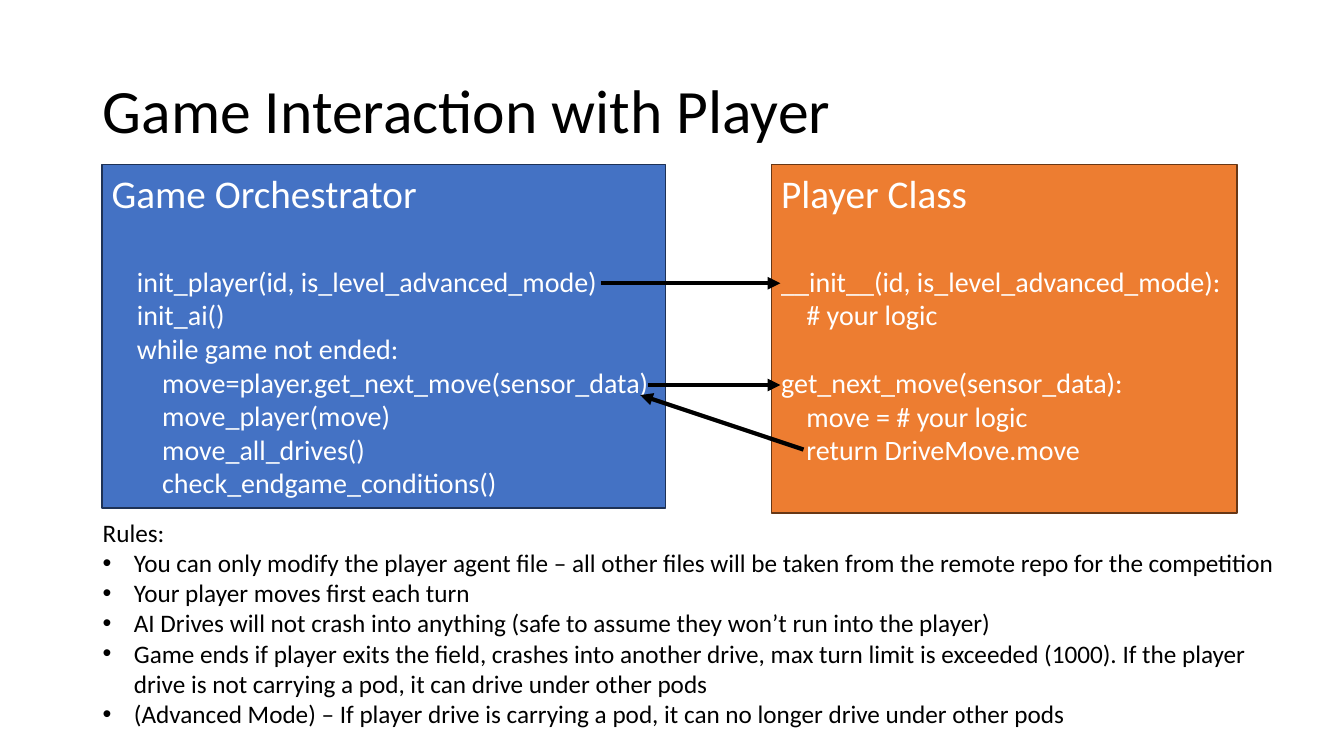
from lxml import etree
from pptx import Presentation
from pptx.dml.color import RGBColor
from pptx.enum.shapes import MSO_CONNECTOR, MSO_SHAPE
from pptx.enum.text import MSO_ANCHOR, MSO_AUTO_SIZE, PP_ALIGN
from pptx.oxml.ns import qn
from pptx.util import Inches, Pt

RECTANGLE = MSO_SHAPE.RECTANGLE
STRAIGHT = MSO_CONNECTOR.STRAIGHT
LEFT = PP_ALIGN.LEFT
TOP, MIDDLE = MSO_ANCHOR.TOP, MSO_ANCHOR.MIDDLE
NO_AUTOFIT, GROW = MSO_AUTO_SIZE.NONE, MSO_AUTO_SIZE.SHAPE_TO_FIT_TEXT

BLACK = RGBColor(0x00, 0x00, 0x00)
WHITE = RGBColor(0xFF, 0xFF, 0xFF)
BLUE = RGBColor(0x44, 0x72, 0xC4)
DARK_BLUE = RGBColor(0x1E, 0x32, 0x56)
ORANGE = RGBColor(0xED, 0x7D, 0x31)
DARK_ORANGE = RGBColor(0x68, 0x37, 0x15)

FONT = "Calibri"
CODE_INDENT = 0.25
HEADING_GAP = 34.2
CODE_GAP = 24.4
BULLET_INDENT = 0.31

# Each code line: indent level, text, space before in points
ORCHESTRATOR_CODE = [
    (1, "init_player(id, is_level_advanced_mode)", HEADING_GAP),
    (1, "init_ai()", 0),
    (1, "while game not ended:", 0),
    (2, "move=player.get_next_move(sensor_data)", 0),
    (2, "move_player(move)", 0),
    (2, "move_all_drives()", 0),
    (2, "check_endgame_conditions()", 0),
]
PLAYER_CODE = [
    (0, "__init__(id, is_level_advanced_mode):", HEADING_GAP),
    (1, "# your logic", 0),
    (0, "get_next_move(sensor_data):", CODE_GAP),
    (1, "move = # your logic", 0),
    (1, "return DriveMove.move", 0),
]
RULES = [
    "You can only modify the player agent file – all other files will be taken "
    "from the remote repo for the competition",
    "Your player moves first each turn",
    "AI Drives will not crash into anything (safe to assume they won’t run into the player)",
    "Game ends if player exits the field, crashes into another drive, max turn limit is "
    "exceeded (1000). If the player drive is not carrying a pod, it can drive under other pods",
    "(Advanced Mode) – If player drive is carrying a pod, it can no longer drive under other pods",
]
CALLS = [
    ((5.96, 2.81), (7.74, 2.81)),
    ((7.97, 4.46), (6.35, 3.92)),
    ((6.43, 3.82), (7.74, 3.82)),
]


def write(paragraph, text, size, color):
    paragraph.alignment = LEFT
    run = paragraph.add_run()
    run.text = text
    run.font.name = FONT
    run.font.size = Pt(size)
    run.font.color.rgb = color


def indent(paragraph, left, first_line=0):
    properties = paragraph._p.get_or_add_pPr()
    properties.set("marL", str(Inches(left)))
    properties.set("indent", str(Inches(first_line)))
    return properties


def set_title(slide, text):
    title = slide.shapes.title
    title.left, title.top = Inches(0.92), Inches(0.4)
    title.width, title.height = Inches(11.5), Inches(1.45)
    frame = title.text_frame
    frame.auto_size = NO_AUTOFIT
    frame.vertical_anchor = MIDDLE
    paragraph = frame.paragraphs[0]
    paragraph.line_spacing = 0.9
    write(paragraph, text, 44, BLACK)


def add_code_box(slide, left, width, height, fill, outline, heading, code):
    box = slide.shapes.add_shape(
        RECTANGLE, Inches(left), Inches(1.63), Inches(width), Inches(height))
    box.shadow.inherit = False
    box.fill.solid()
    box.fill.fore_color.rgb = fill
    box.line.color.rgb = outline
    box.line.width = Pt(1)
    frame = box.text_frame
    frame.word_wrap = True
    frame.vertical_anchor = TOP
    write(frame.paragraphs[0], heading, 28, WHITE)
    for level, text, gap in code:
        paragraph = frame.add_paragraph()
        indent(paragraph, level * CODE_INDENT)
        paragraph.space_before = Pt(gap)
        write(paragraph, text, 20, WHITE)


def add_arrow(slide, start, end):
    arrow = slide.shapes.add_connector(
        STRAIGHT, *(Inches(value) for value in start + end))
    arrow.line.color.rgb = BLACK
    arrow.line.width = Pt(3)
    etree.SubElement(arrow.line._get_or_add_ln(), qn("a:tailEnd"), type="triangle")
    etree.SubElement(arrow._element.spPr, qn("a:effectLst"))


def add_rules(slide):
    box = slide.shapes.add_textbox(
        Inches(0.92), Inches(5.08), Inches(11.96), Inches(2.52))
    frame = box.text_frame
    frame.word_wrap = True
    frame.auto_size = GROW
    write(frame.paragraphs[0], "Rules:", 18, BLACK)
    for rule in RULES:
        paragraph = frame.add_paragraph()
        properties = indent(paragraph, BULLET_INDENT, -BULLET_INDENT)
        etree.SubElement(properties, qn("a:buFont"), typeface="Arial")
        etree.SubElement(properties, qn("a:buChar"), char="•")
        write(paragraph, rule, 18, BLACK)


def main():
    presentation = Presentation()
    presentation.slide_width = Inches(13.33)
    presentation.slide_height = Inches(7.5)
    slide = presentation.slides.add_slide(presentation.slide_layouts.get_by_name("Title Only"))
    set_title(slide, "Game Interaction with Player")
    add_code_box(slide, 1.01, 5.59, 3.41, BLUE, DARK_BLUE,
                 "Game Orchestrator", ORCHESTRATOR_CODE)
    add_code_box(slide, 7.65, 4.62, 3.46, ORANGE, DARK_ORANGE,
                 "Player Class", PLAYER_CODE)
    for start, end in CALLS:
        add_arrow(slide, start, end)
    add_rules(slide)
    presentation.save("out.pptx")


if __name__ == "__main__":
    main()
